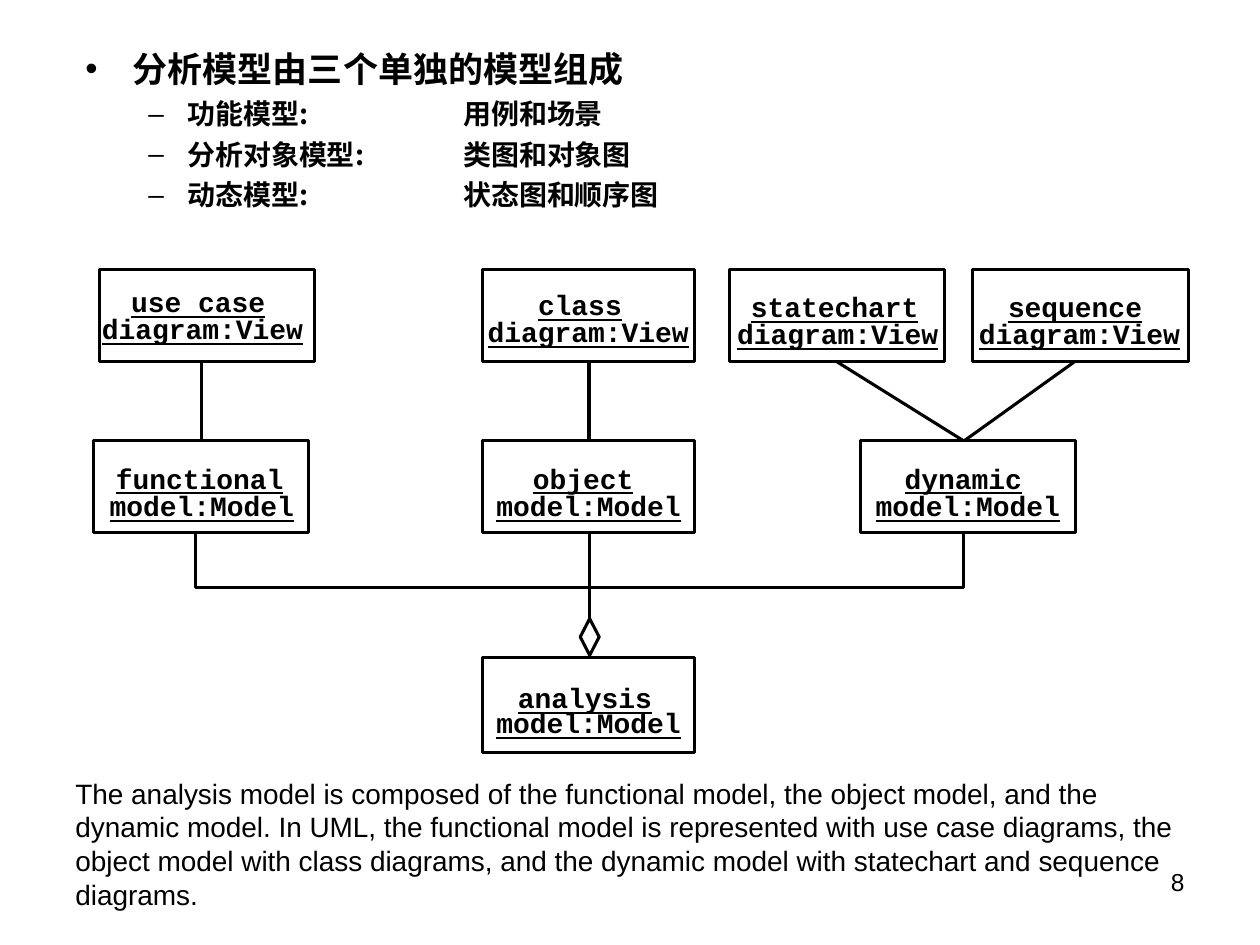
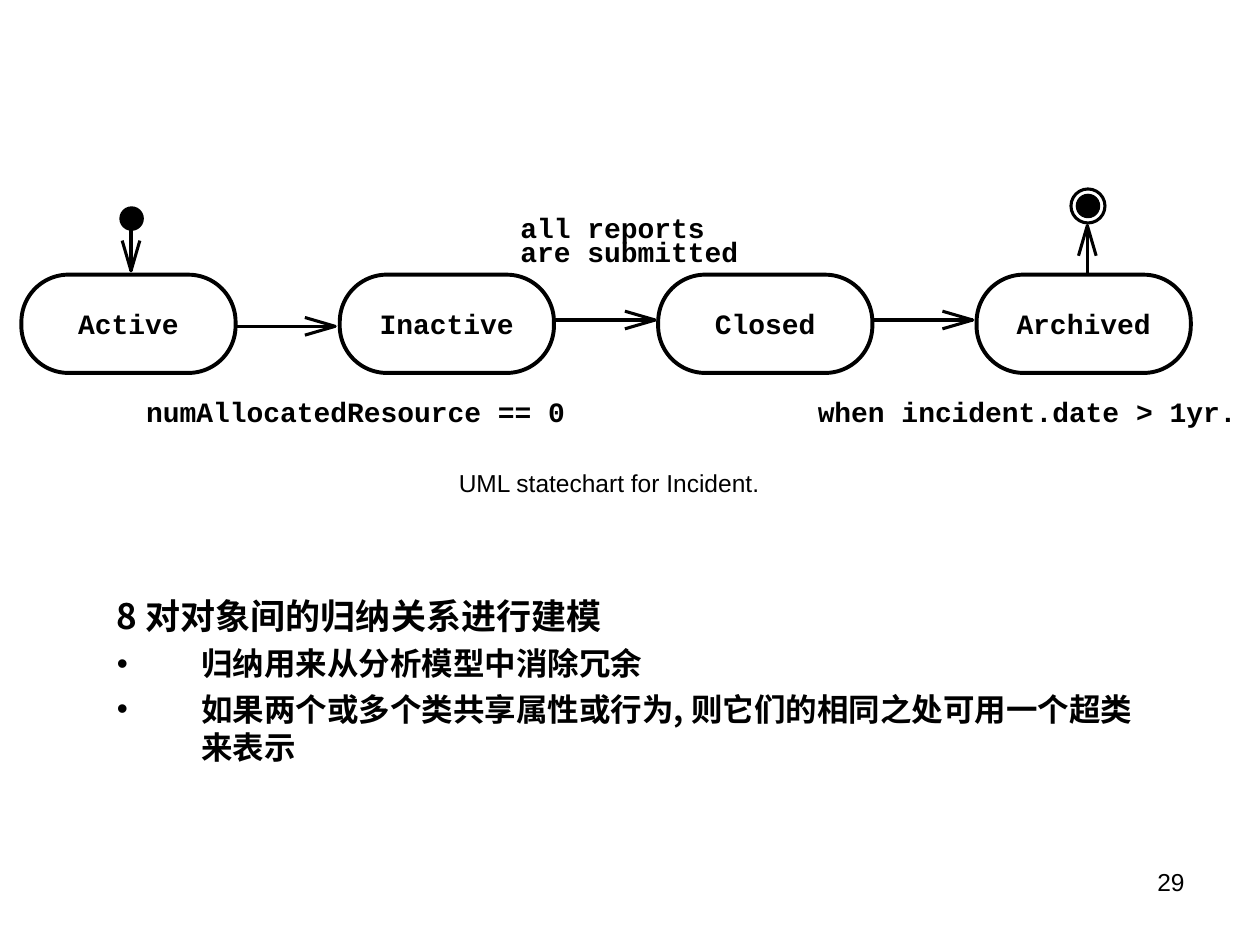
from dataclasses import dataclass
from typing import Optional

from lxml.etree import SubElement
from pptx import Presentation
from pptx.dml.color import RGBColor
from pptx.enum.shapes import MSO_CONNECTOR, MSO_SHAPE
from pptx.enum.text import MSO_ANCHOR, PP_ALIGN
from pptx.oxml.ns import qn
from pptx.util import Inches, Pt

BLACK = RGBColor(0x00, 0x00, 0x00)
WHITE = RGBColor(0xFF, 0xFF, 0xFF)
SANS, CODE, CHINESE = "Arial", "Courier New", "Noto Sans CJK SC"

# Grid: 100 columns by 75 rows of square cells
WIDTH, HEIGHT = Inches(10), Inches(7.5)
COLUMN, ROW = WIDTH / 100, HEIGHT / 75
CHARACTER = 4 / 3  # columns taken by one character of code text
LINE = 1.75

Point = tuple[float, float]


@dataclass(frozen=True)
class Area:
    left: float
    top: float
    width: float
    height: float

    def lengths(self) -> tuple[int, int, int, int]:
        return (round(self.left * COLUMN), round(self.top * ROW),
                round(self.width * COLUMN), round(self.height * ROW))


@dataclass(frozen=True)
class Line:
    """One paragraph; margin, hanging and tab stops are in columns."""
    text: str
    size: float
    bullet: Optional[str] = None
    level: int = 0
    margin: float = 0
    hanging: float = 0
    before: float = 0
    tabs: tuple[int, ...] = ()


@dataclass(frozen=True)
class Node:
    """An instance box with its name above its type."""
    area: Area
    name: str
    name_left: float
    type_name: str
    type_left: float
    text_top: float
    line_step: float = 2.15


# Shared drawing functions
def format_paragraph(paragraph, line: Line) -> None:
    paragraph.level = line.level
    if line.before:
        paragraph.space_before = Pt(line.before)
    properties = paragraph._p.get_or_add_pPr()
    properties.set("marL", str(round(line.margin * COLUMN)))
    properties.set("indent", str(round(-line.hanging * COLUMN)))
    if line.bullet:
        color = SubElement(properties, qn("a:buClr"))
        SubElement(color, qn("a:srgbClr"), val=str(BLACK))
        SubElement(properties, qn("a:buFont"), typeface=SANS)
        SubElement(properties, qn("a:buChar"), char=line.bullet)
    else:
        SubElement(properties, qn("a:buNone"))
    if line.tabs:
        stops = SubElement(properties, qn("a:tabLst"))
        for stop in line.tabs:
            SubElement(stops, qn("a:tab"), pos=str(round(stop * COLUMN)), algn="l")


def add_text(slide, area: Area, lines: list[Line], *, font: str = SANS,
             bold: bool = False, underline: bool = False,
             align: PP_ALIGN = PP_ALIGN.LEFT,
             anchor: MSO_ANCHOR = MSO_ANCHOR.TOP,
             wrap: bool = True, inset: Point = (1, 0.5)) -> None:
    frame = slide.shapes.add_textbox(*area.lengths()).text_frame
    frame.word_wrap = wrap
    frame.vertical_anchor = anchor
    frame.margin_left = frame.margin_right = round(inset[0] * COLUMN)
    frame.margin_top = frame.margin_bottom = round(inset[1] * ROW)
    for index, line in enumerate(lines):
        paragraph = frame.add_paragraph() if index else frame.paragraphs[0]
        format_paragraph(paragraph, line)
        paragraph.alignment = align
        run = paragraph.add_run()
        run.text = line.text
        run.font.size = Pt(line.size)
        run.font.bold = bold
        run.font.underline = underline
        run.font.color.rgb = BLACK
        run.font.name = font
        SubElement(run.font._element, qn("a:ea"), typeface=font)


def add_code(slide, text: str, left: float, top: float, underline: bool = False) -> None:
    add_text(slide, Area(left, top, len(text) * CHARACTER, 2.7), [Line(text, 16)],
             font=CODE, bold=True, underline=underline, wrap=False, inset=(0, 0))


def style_outline(shape, fill: Optional[RGBColor], weight: float) -> None:
    shape.shadow.inherit = False
    if fill is None:
        shape.fill.background()
    else:
        shape.fill.solid()
        shape.fill.fore_color.rgb = fill
    shape.line.color.rgb = BLACK
    shape.line.width = Pt(weight)


def add_outline(slide, preset: MSO_SHAPE, area: Area,
                fill: Optional[RGBColor] = WHITE, weight: float = LINE):
    shape = slide.shapes.add_shape(preset, *area.lengths())
    style_outline(shape, fill, weight)
    return shape


def add_line(slide, start: Point, end: Point) -> None:
    connector = slide.shapes.add_connector(
        MSO_CONNECTOR.STRAIGHT, round(start[0] * COLUMN), round(start[1] * ROW),
        round(end[0] * COLUMN), round(end[1] * ROW))
    connector.line.color.rgb = BLACK
    connector.line.width = Pt(LINE)
    SubElement(connector._element.spPr, qn("a:effectLst"))


def add_path(slide, points: list[Point], closed: bool = False,
             fill: Optional[RGBColor] = None) -> None:
    corners = [(round(x * COLUMN), round(y * ROW)) for x, y in points]
    builder = slide.shapes.build_freeform(*corners[0])
    builder.add_line_segments(corners[1:], close=closed)
    style_outline(builder.convert_to_shape(), fill, LINE)


def add_arrow(slide, start: Point, tip: Point, length: float = 2.4,
              half: float = 0.7) -> None:
    """A straight arrow, level or upright, with an open head."""
    add_line(slide, start, tip)
    (x, y), (tip_x, tip_y) = start, tip
    if y == tip_y:
        back = tip_x - length if tip_x > x else tip_x + length
        wings = [(back, y - half), (back, y + half)]
    else:
        back = tip_y - length if tip_y > y else tip_y + length
        wings = [(x - half, back), (x + half, back)]
    add_path(slide, [wings[0], tip, wings[1]])


def add_slide(presentation, number: int):
    slide = presentation.slides.add_slide(presentation.slide_layouts[6])
    add_text(slide, Area(71.7, 68.3, 23.3, 5.2), [Line(str(number), 14)],
             align=PP_ALIGN.RIGHT)
    return slide


# Slide 8: parts of the analysis model
VIEW_TOP, MODEL_TOP, BOX_HEIGHT = 21.4, 35, 7.3
VIEW, MODEL = "diagram:View", "model:Model"
TRUNK, JOIN, BUS = 46.8, 76.5, 46.6  # centre line, dynamic model, shared bar

NODES = [
    Node(Area(7.9, VIEW_TOP, 17.1, BOX_HEIGHT), "use case", 10.4, VIEW, 8.1, 22.6),
    Node(Area(38.3, VIEW_TOP, 16.8, BOX_HEIGHT), "class", 42.7, VIEW, 38.7, 22.8),
    Node(Area(57.9, VIEW_TOP, 17.1, BOX_HEIGHT), "statechart", 59.6, VIEW, 58.5, 23),
    Node(Area(77.2, VIEW_TOP, 17.1, BOX_HEIGHT), "sequence", 80, VIEW, 77.7, 23),
    Node(Area(7.4, MODEL_TOP, 17.1, BOX_HEIGHT), "functional", 9.2, MODEL, 8.7, 36.6),
    Node(Area(38.3, MODEL_TOP, 16.8, BOX_HEIGHT), "object", 42.3, MODEL, 39.4, 36.6),
    Node(Area(68.3, MODEL_TOP, 17.1, BOX_HEIGHT), "dynamic", 71.8, MODEL, 69.5, 36.6),
    Node(Area(38.3, 52.2, 16.8, 7.5), "analysis", 41.1, MODEL, 39.4, 54, 2),
]


def add_node(slide, node: Node) -> None:
    add_outline(slide, MSO_SHAPE.RECTANGLE, node.area)
    add_code(slide, node.name, node.name_left, node.text_top, underline=True)
    add_code(slide, node.type_name, node.type_left, node.text_top + node.line_step,
             underline=True)


def build_analysis_model(presentation) -> None:
    slide = add_slide(presentation, 8)
    tabs = tuple(range(10, 90, 10))
    parts = ["功能模型: \t\t用例和场景", "分析对象模型: \t类图和对象图",
             "动态模型: \t\t状态图和顺序图"]
    heading = Line("分析模型由三个单独的模型组成", 20, "•", margin=3.75,
                   hanging=3.75, tabs=tabs)
    add_text(slide, Area(5.8, 3.3, 88.3, 14.2),
             [heading] + [Line(part, 16, "–", 1, 8.1, 3.1, 4, tabs) for part in parts],
             font=CHINESE, bold=True)

    # Links from views to models
    view_bottom, model_bottom = VIEW_TOP + BOX_HEIGHT, MODEL_TOP + BOX_HEIGHT
    for view_x, model_x in [(16, 16), (46.75, 46.75), (66.4, JOIN), (85.3, JOIN)]:
        add_line(slide, (view_x, view_bottom), (model_x, MODEL_TOP))

    # Aggregation of the three models
    for side in (15.5, JOIN):
        add_path(slide, [(45.1, BUS), (side, BUS), (side, model_bottom)])
    add_line(slide, (TRUNK, model_bottom), (TRUNK, 52.2))
    add_path(slide, [(TRUNK + 0.75, 50.55), (TRUNK, 52), (TRUNK - 0.75, 50.55),
                     (TRUNK, 49.1)], closed=True, fill=WHITE)

    for node in NODES:
        add_node(slide, node)
    add_text(slide, Area(5, 61.7, 89.2, 10.5), [Line(
        "The analysis model is composed of the functional model, the object model, "
        "and the dynamic model. In UML, the functional model is represented with "
        "use case diagrams, the object model with class diagrams, and the dynamic "
        "model with statechart and sequence diagrams.", 16)], anchor=MSO_ANCHOR.MIDDLE)


# Slide 29: statechart and generalization
STATES = ["Active", "Inactive", "Closed", "Archived"]
STATE_LEFT, STATE_STEP, STATE_TOP = 1.7, 25.27, 21.8
STATE_WIDTH, STATE_HEIGHT = 17, 7.8
CONDITIONS = [
    ("numAllocatedResource == 0", 11.6, 31.3),
    ("all reports", 41.3, 16.7),
    ("are submitted", 41.3, 18.6),
    ("when incident.date > 1yr.", 64.9, 31.3),
]


def build_statechart(presentation) -> None:
    slide = add_slide(presentation, 29)
    add_text(slide, Area(8.3, 46.7, 84.2, 15), [
        Line("8 对对象间的归纳关系进行建模", 20, margin=6.7, hanging=6.7),
        *[Line(text, 18, "•", margin=6.7, hanging=6.7, before=4.5) for text in (
            "归纳用来从分析模型中消除冗余",
            "如果两个或多个类共享属性或行为, 则它们的相同之处可用一个超类来表示")],
    ], font=CHINESE, bold=True)

    # Transitions, start and end markers
    for start, tip in [((18.6, 25.9), (26.6, 25.9)), ((44.1, 25.4), (52, 25.4)),
                       ((69.3, 25.4), (77.2, 25.4)), ((10.4, 17.4), (10.4, 21.5)),
                       ((86.3, 22), (86.3, 17.9))]:
        add_arrow(slide, start, tip)
    add_outline(slide, MSO_SHAPE.OVAL, Area(9.6, 16.5, 1.7, 1.7), BLACK)
    add_outline(slide, MSO_SHAPE.OVAL, Area(85.5, 15.5, 1.7, 1.7), BLACK)
    add_outline(slide, MSO_SHAPE.OVAL, Area(85, 15, 2.7, 2.7), None)

    for text, left, top in CONDITIONS:
        add_code(slide, text, left, top)
    for index, state in enumerate(STATES):
        left = STATE_LEFT + index * STATE_STEP
        shape = add_outline(slide, MSO_SHAPE.ROUNDED_RECTANGLE,
                            Area(left, STATE_TOP, STATE_WIDTH, STATE_HEIGHT), weight=2.25)
        shape.adjustments[0] = 0.48
        add_code(slide, state, left + (STATE_WIDTH - len(state) * CHARACTER) / 2,
                 STATE_TOP + 2.5)
    add_text(slide, Area(14.2, 36.7, 68.3, 3.3), [Line("UML statechart for Incident.", 14)],
             align=PP_ALIGN.CENTER, anchor=MSO_ANCHOR.MIDDLE)


def main() -> None:
    presentation = Presentation()
    presentation.slide_width, presentation.slide_height = WIDTH, HEIGHT
    build_analysis_model(presentation)
    build_statechart(presentation)
    presentation.save("out.pptx")


if __name__ == "__main__":
    main()
